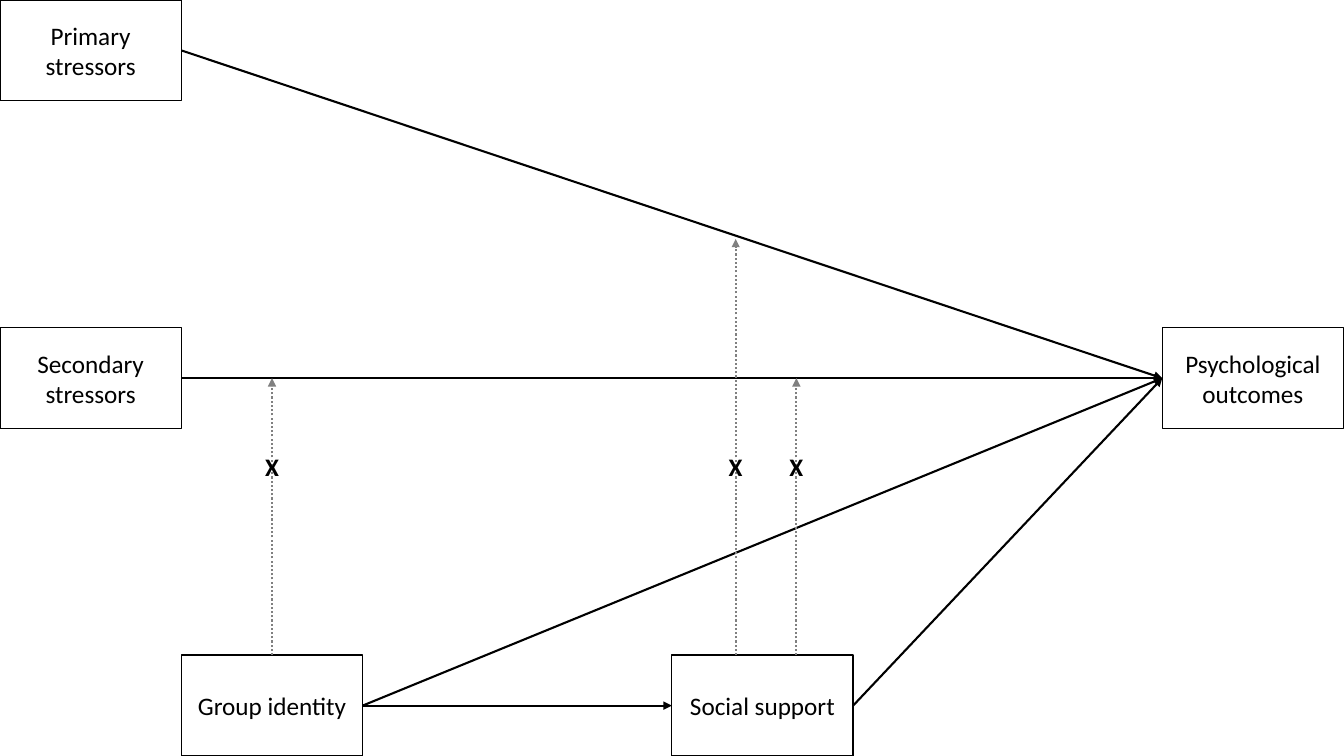
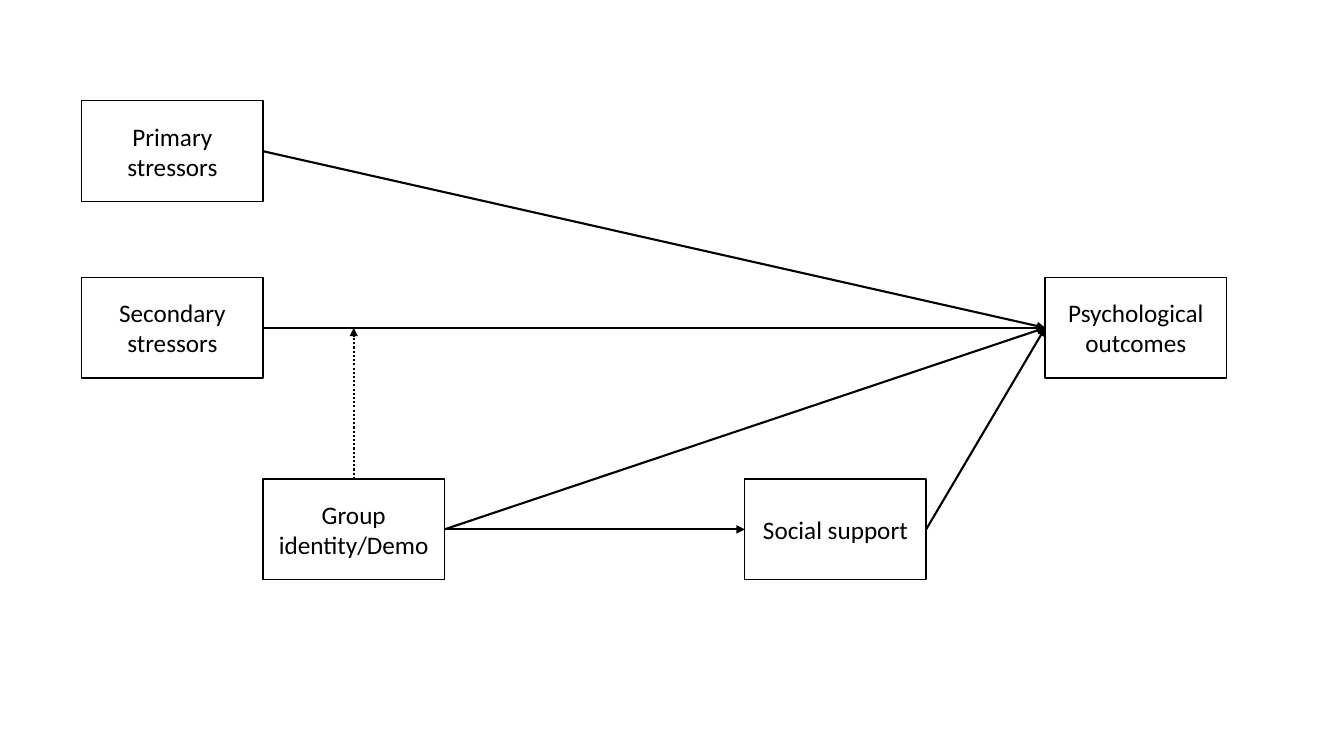
import pptx
import pptx.dml.color
import pptx.enum.dml
import pptx.enum.shapes
import pptx.enum.text
import pptx.oxml.ns
import pptx.util
import lxml.etree

Cm = pptx.util.Cm
Pt = pptx.util.Pt

# Shared style, lengths in centimetres
COLORS = {"ink": "000000", "muted": "808080"}
FONT = "Calibri"
TEXT_SIZE = 18
BOX_WIDTH, BOX_HEIGHT = 4.57, 2.54
MARK_WIDTH, MARK_HEIGHT = 0.86, 1.02
TOP, LEFT, RIGHT = 0, 1, 3  # connection sites of a rectangle

# Solid arrows that both models share
PATHS = [
    ("primary", "outcomes"),
    ("secondary", "outcomes"),
    ("group", "support"),
    ("support", "outcomes"),
    ("group", "outcomes"),
]

FULL_MODEL = {
    "primary": ("Primary stressors", 0, 0),
    "secondary": ("Secondary stressors", 0, 8.26),
    "group": ("Group identity", 4.57, 16.51),
    "support": ("Social support", 16.93, 16.51),
    "outcomes": ("Psychological outcomes", 29.29, 8.26),
}
COMPACT_MODEL = {
    "primary": ("Primary stressors", 2.06, 2.54),
    "secondary": ("Secondary stressors", 2.06, 6.99),
    "group": ("Group identity/Demo", 6.63, 12.07),
    "support": ("Social support", 18.77, 12.07),
    "outcomes": ("Psychological outcomes", 26.34, 6.99),
}


def rgb(name):
    return pptx.dml.color.RGBColor.from_string(COLORS[name])


def write(shape, text, bold=False):
    frame = shape.text_frame
    frame.text = text
    para = frame.paragraphs[0]
    para.alignment = pptx.enum.text.PP_ALIGN.CENTER
    font = para.runs[0].font
    font.name, font.size, font.bold = FONT, Pt(TEXT_SIZE), bold
    font.color.rgb = rgb("ink")


def add_box(slide, text, left, top):
    box = slide.shapes.add_shape(
        pptx.enum.shapes.MSO_SHAPE.RECTANGLE,
        Cm(left), Cm(top), Cm(BOX_WIDTH), Cm(BOX_HEIGHT))
    box.shadow.inherit = False
    box.fill.background()
    box.line.color.rgb = rgb("ink")
    box.line.width = Pt(1)
    box.text_frame.vertical_anchor = pptx.enum.text.MSO_ANCHOR.MIDDLE
    write(box, text)
    return box


def add_arrow(slide, start=(0, 0), end=(0, 0), color="ink", dotted=False):
    arrow = slide.shapes.add_connector(
        pptx.enum.shapes.MSO_CONNECTOR.STRAIGHT, *start, *end)
    arrow.line.color.rgb = rgb(color)
    arrow.line.width = Pt(1.5)
    if dotted:
        arrow.line.dash_style = pptx.enum.dml.MSO_LINE.ROUND_DOT
    # Arrowhead, and no theme shadow
    qn = pptx.oxml.ns.qn
    properties = arrow.element.spPr
    head = lxml.etree.SubElement(properties.find(qn("a:ln")), qn("a:tailEnd"))
    head.set("type", "triangle")
    lxml.etree.SubElement(properties, qn("a:effectLst"))
    return arrow


def add_path(slide, source, target):
    arrow = add_arrow(slide)
    arrow.begin_connect(source, RIGHT)
    arrow.end_connect(target, LEFT)


def add_moderation(slide, source, x, end_y, color):
    """Dotted arrow rising from the top edge of a box."""
    add_arrow(slide, (x, source.top), (x, end_y), color, dotted=True)


def add_mark(slide, x, top):
    mark = slide.shapes.add_textbox(
        x - Cm(MARK_WIDTH / 2), top, Cm(MARK_WIDTH), Cm(MARK_HEIGHT))
    mark.text_frame.word_wrap = False
    mark.text_frame.auto_size = pptx.enum.text.MSO_AUTO_SIZE.SHAPE_TO_FIT_TEXT
    write(mark, "X", bold=True)


def add_model(deck, model):
    slide = deck.slides.add_slide(deck.slide_layouts[6])
    boxes = {name: add_box(slide, *values) for name, values in model.items()}
    for source, target in PATHS:
        add_path(slide, boxes[source], boxes[target])
    return slide, boxes


def middle_x(box):
    return box.left + box.width // 2


def middle_y(box):
    return box.top + box.height // 2


def main():
    deck = pptx.Presentation()
    deck.slide_width, deck.slide_height = Cm(33.87), Cm(19.05)

    # Full model with rejected moderations
    slide, boxes = add_model(deck, FULL_MODEL)
    secondary_y = middle_y(boxes["secondary"])
    moderations = [
        ("group", middle_x(boxes["group"]), secondary_y),
        ("support", Cm(18.54), Cm(6.02)),
        ("support", Cm(20.07), secondary_y),
    ]
    for name, x, end_y in moderations:
        add_moderation(slide, boxes[name], x, end_y, "muted")
    for name, x, end_y in moderations:
        add_mark(slide, x, Cm(11.25))

    # Compact model with one moderation
    slide, boxes = add_model(deck, COMPACT_MODEL)
    add_moderation(slide, boxes["group"], middle_x(boxes["group"]),
                   middle_y(boxes["secondary"]), "ink")

    deck.save("out.pptx")


if __name__ == "__main__":
    main()
